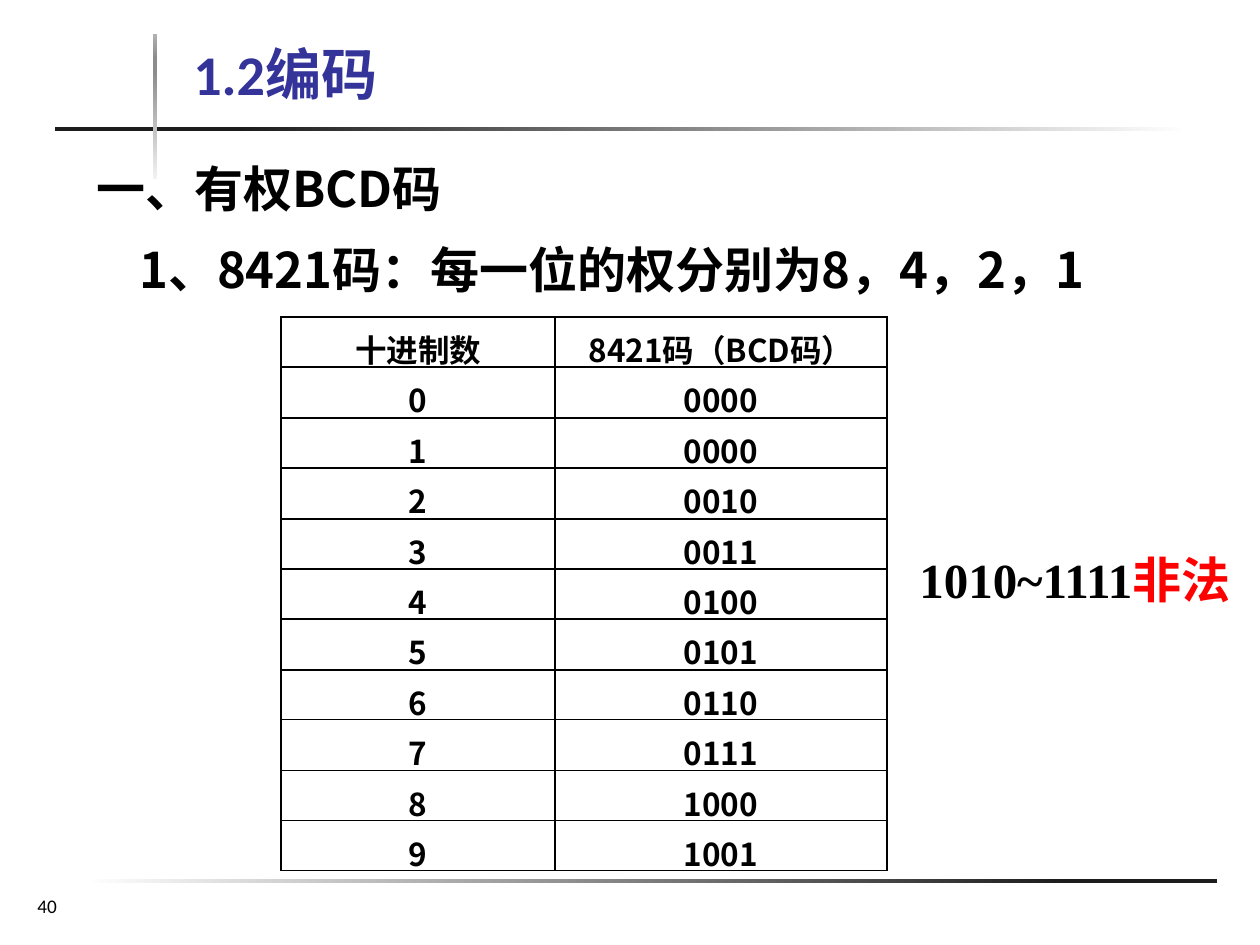
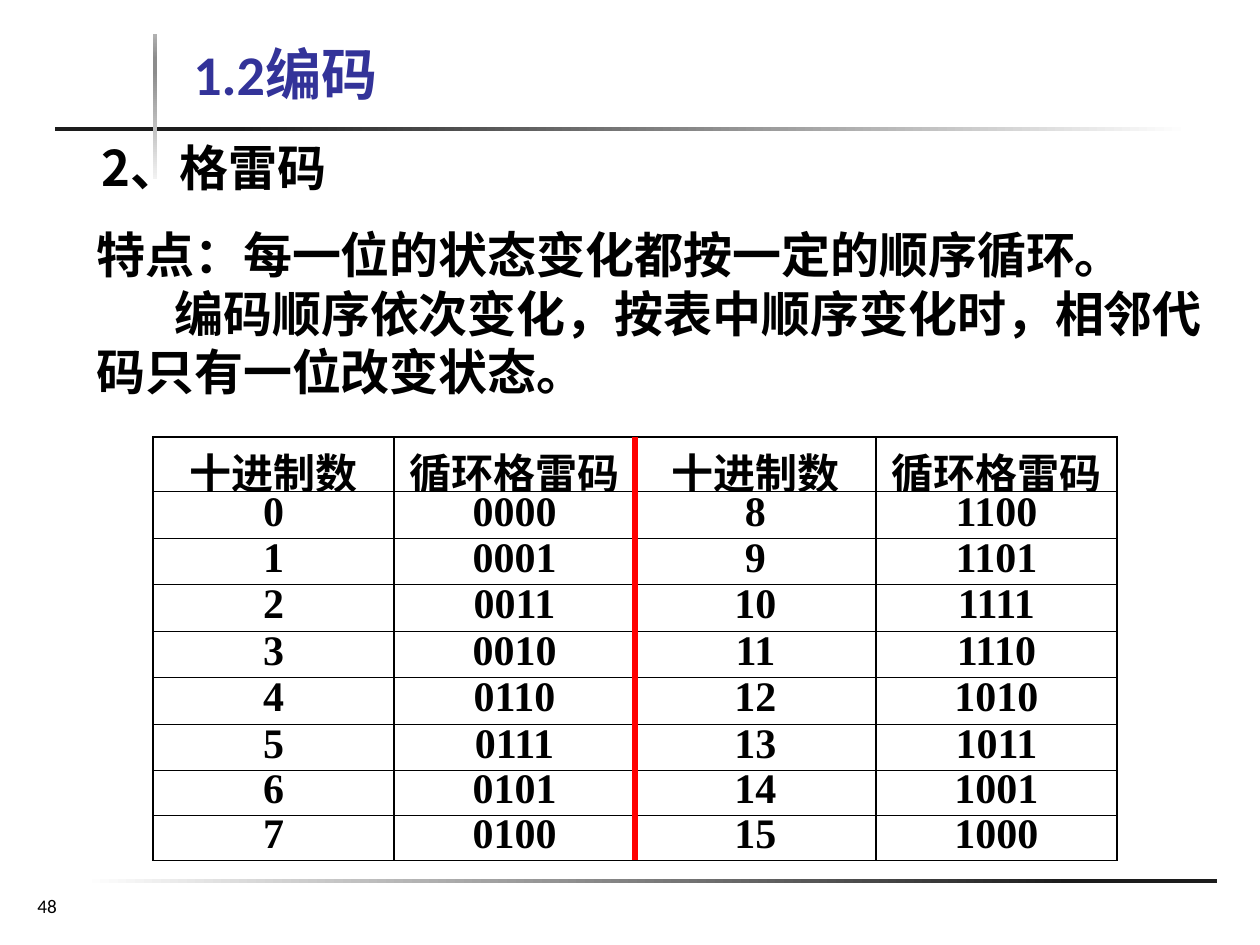
from pptx import Presentation
from pptx.dml.color import RGBColor
from pptx.enum.shapes import MSO_CONNECTOR, MSO_SHAPE
from pptx.enum.text import MSO_ANCHOR, PP_ALIGN
from pptx.oxml import parse_xml
from pptx.oxml.ns import nsdecls, qn
from pptx.util import Emu, Pt

RECT, LINE = MSO_SHAPE.RECTANGLE, MSO_CONNECTOR.STRAIGHT
TOP, MIDDLE = MSO_ANCHOR.TOP, MSO_ANCHOR.MIDDLE
LEFT, CENTER = PP_ALIGN.LEFT, PP_ALIGN.CENTER
SCALE = 914400 / 126
BLACK, WHITE, RED, BLUE, DARK = "000000", "FFFFFF", "FF0000", "333399", "1C1C1C"
HAN, SERIF, SANS = "Noto Sans CJK SC", "Times New Roman", "Calibri"

TITLE = {"size": 32, "name": SANS, "color": BLUE, "bold": True}
BODY = {"size": 28, "name": HAN, "color": BLACK, "bold": True}
RANGE = {**BODY, "name": SERIF}
ALERT = {**BODY, "color": RED}
SMALL = {**BODY, "size": 18}
HEAD = {**BODY, "size": 24}
DIGIT = {**HEAD, "name": SERIF}
NUMBER = {"size": 11, "name": SANS, "color": BLACK, "bold": False}

BANDS = [
    ((83, 879, 1134, 4), 0, [(0, WHITE), (87, DARK)]),
    ((55, 127, 1134, 4), 0, [(16, DARK), (100, WHITE)]),
    ((153, 34, 4, 145), 270,
     [(0, "F2F2F2"), (74, "8C8C8C"), (83, "8C8C8C"), (100, "B2B2B2")]),
]
BCD = ["0000", "0000", "0010", "0011", "0100",
       "0101", "0110", "0111", "1000", "1001"]
GRAY = [f"{n ^ n >> 1:04b}" for n in range(16)]


def px(*nums):
    """Turn px lengths into EMU."""
    return [Emu(round(n * SCALE)) for n in nums]


def color(code):
    """Turn a hex string into a colour."""
    return RGBColor.from_string(code)


def write(para, text, form):
    """Add a run of text in the given format."""
    run = para.add_run()
    run.text = text
    values = {**form, "size": Pt(form["size"])}
    run.font.color.rgb = color(values.pop("color"))
    for key, value in values.items():
        setattr(run.font, key, value)
    east = parse_xml(f'<a:ea {nsdecls("a")} typeface="{HAN}"/>')
    run.font._element.find(qn("a:latin")).addnext(east)


def label(slide, box, paras, anchor=TOP, wrap=True):
    """Add a text box from paragraphs of (text, format) runs."""
    frame = slide.shapes.add_textbox(*px(*box)).text_frame
    frame.word_wrap, frame.vertical_anchor = wrap, anchor
    for i, runs in enumerate(paras):
        para = frame.add_paragraph() if i else frame.paragraphs[0]
        para.alignment = LEFT
        for text, form in runs:
            write(para, text, form)
    return frame


def band(slide, box, angle, stops):
    """Add a thin bar with a gradient fill."""
    bar = slide.shapes.add_shape(RECT, *px(*box))
    bar.shadow.inherit = False
    bar.line.fill.background()
    bar.fill.gradient()
    marks = "".join(f'<a:gs pos="{pos * 1000}"><a:srgbClr val="{code}"/></a:gs>'
                    for pos, code in stops)
    fill = parse_xml(f'<a:gradFill {nsdecls("a")} rotWithShape="1">'
                     f'<a:gsLst>{marks}</a:gsLst>'
                     f'<a:lin ang="{angle * 60000}" scaled="0"/></a:gradFill>')
    props = bar._element.spPr
    props.replace(props.find(qn("a:gradFill")), fill)


def edge(cell):
    """Draw a thin black line on each side of a cell."""
    props = cell._tc.get_or_add_tcPr()
    for side in "LRTB":
        props.append(parse_xml(
            f'<a:ln{side} {nsdecls("a")} w="12700"><a:solidFill>'
            f'<a:srgbClr val="{BLACK}"/></a:solidFill></a:ln{side}>'))


def grid(slide, spot, cols, rows, data, style):
    """Add a table, with style(row) giving format, margins, anchor and spacing."""
    box = (*spot, sum(cols), sum(rows))
    table = slide.shapes.add_table(len(rows), len(cols), *px(*box)).table
    table.first_row = table.horz_banding = False
    for col, width in zip(table.columns, px(*cols)):
        col.width = width
    for row, height in zip(table.rows, px(*rows)):
        row.height = height
    for r, texts in enumerate(data):
        form, pads, anchor, gap = style(r)
        for c, text in enumerate(texts):
            cell = table.cell(r, c)
            edge(cell)
            cell.fill.solid()
            cell.fill.fore_color.rgb = color(WHITE)
            cell.vertical_anchor = anchor
            for side, pad in zip(("left", "top", "right", "bottom"), px(*pads)):
                setattr(cell, f"margin_{side}", pad)
            para = cell.text_frame.paragraphs[0]
            para.alignment, para.line_spacing = CENTER, gap
            write(para, text, form)


def base(deck, number):
    """Add a slide with its bands, title and number."""
    slide = deck.slides.add_slide(deck.slide_layouts[6])
    for item in BANDS:
        band(slide, *item)
    label(slide, (181, 33, 959, 81), [[("1.2编码", TITLE)]], MIDDLE)
    label(slide, (25, 888, 125, 47), [[(number, NUMBER)]])
    return slide


def weights(deck):
    """Build the slide on the 8421 code."""
    slide = base(deck, "40")
    label(slide, (84, 152, 481, 72), [[("一、有权BCD码", BODY)]])
    label(slide, (127, 233, 1012, 72),
          [[("1、8421码：每一位的权分别为8，4，2，1", BODY)]])
    data = [("十进制数", "8421码（BCD码）")]
    data += [(str(n), code) for n, code in enumerate(BCD)]
    rows = [50, 51, 50, 51, 50, 50, 51, 50, 51, 50, 50]
    grid(slide, (281, 317), (274, 332), rows, data,
         lambda r: (SMALL, (12, 9, 12, 3), TOP, 1.0))
    label(slide, (907, 543, 369, 72),
          [[("1010~1111", RANGE), ("非法", ALERT)]], wrap=False)


def cycle(deck):
    """Build the slide on the Gray code."""
    slide = base(deck, "48")
    label(slide, (89, 131, 393, 72), [[("2、格雷码", BODY)]])
    frame = label(slide, (84, 218, 1142, 190), [
        [("特点：每一位的状态变化都按一定的顺序循环。", BODY)],
        [("编码顺序依次变化，按表中顺序变化时，相邻代码只有一位改变状态。", BODY)],
    ])
    props = frame.paragraphs[1]._p.get_or_add_pPr()
    props.set("indent", str(px(78)[0]))
    data = [("十进制数", "循环格雷码") * 2]
    data += [(str(n), GRAY[n], str(n + 8), GRAY[n + 8]) for n in range(8)]
    left, top, wide = 153, 437, 241
    rows = [54] + [47, 46] * 3 + [45] * 2
    grid(slide, (left, top), [wide] * 4, rows, data,
         lambda r: (DIGIT, (0, 0, 0, 0), MIDDLE, 0.8) if r
         else (HEAD, (0, 4, 0, 0), MIDDLE, 1.0))
    mid = left + 2 * wide
    rule = slide.shapes.add_connector(LINE, *px(mid, top, mid, top + sum(rows)))
    rule.line.color.rgb, rule.line.width = color(RED), Pt(3)
    rule._element.spPr.append(parse_xml(f'<a:effectLst {nsdecls("a")}/>'))


def main():
    """Build the deck and save it."""
    deck = Presentation()
    deck.slide_width, deck.slide_height = px(1260, 945)
    weights(deck)
    cycle(deck)
    deck.save("out.pptx")


if __name__ == "__main__":
    main()
